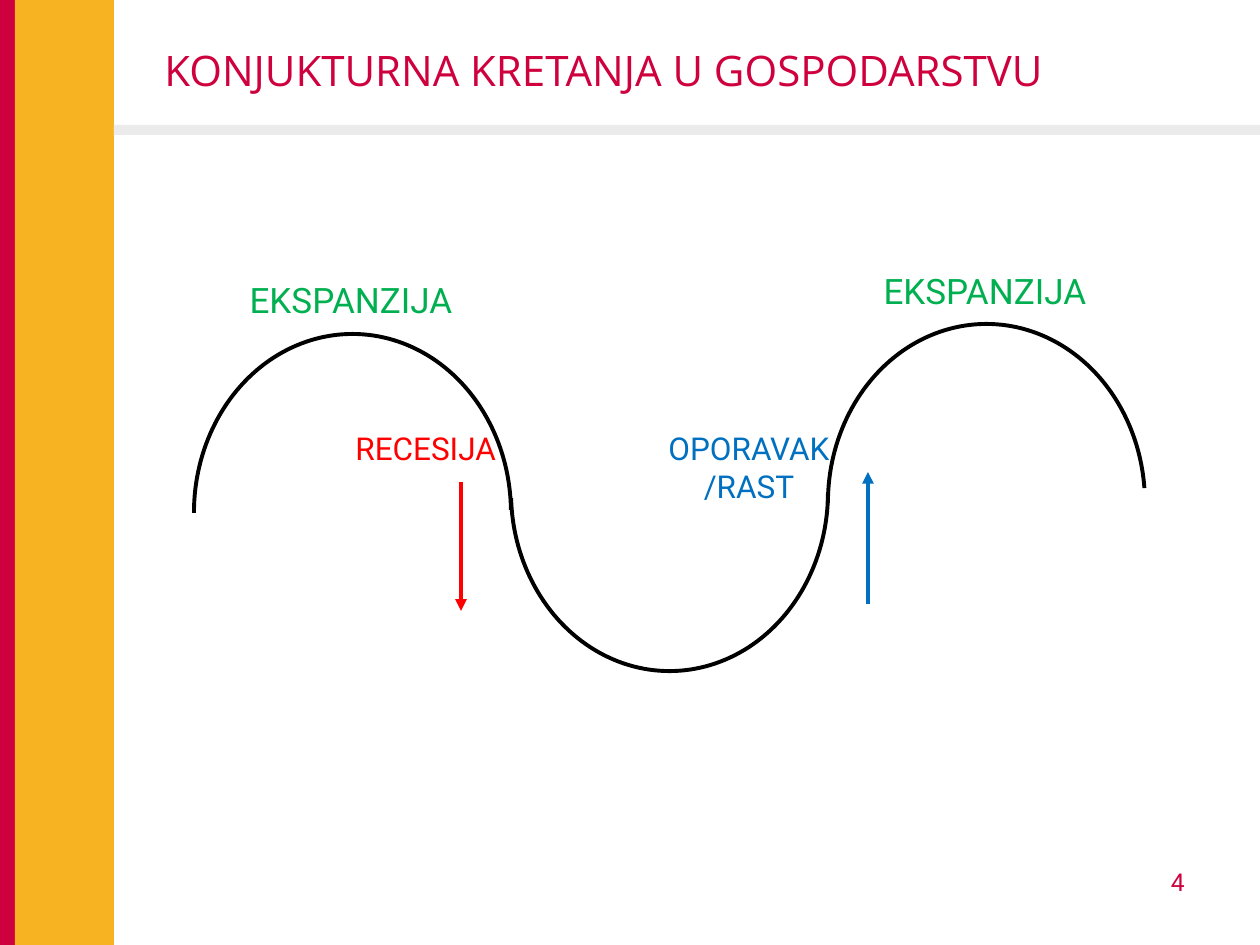
import pptx
import pptx.dml.color
import pptx.enum.shapes
import pptx.enum.text
import pptx.oxml
import pptx.oxml.ns
import pptx.util

EMU_PER_PX = 914400 / 126
SHAPE = pptx.enum.shapes.MSO_SHAPE
ALIGN = pptx.enum.text.PP_ALIGN
ANCHOR = pptx.enum.text.MSO_ANCHOR

CRIMSON, BLACK = "CE003D", "000000"
GREEN, BLUE, RED = "00B050", "0070C0", "FF0000"
LINE_WIDTH = 2.25

TITLE = "KONJUKTURNA KRETANJA U GOSPODARSTVU "
TITLE_BOX = (108, 26, 1002, 87)

BANDS = [
    ((0, 0, 15, 948), CRIMSON),
    ((15, 0, 99, 948), "F8B323"),
    ((114, 125, 1146, 10), "EBEBEC"),
]

ARC_LEFT, ARC_WIDTH, ARC_HEIGHT = 194, 317, 357
ARC_START = 107.89
ARCS = [
    (334, 0, 215.44),
    (314, 180, 214.78),
    (324, 0, 212.88),
]

LABELS = [
    ("EKSPANZIJA", (223, 272, 256, 55), 20, GREEN, ALIGN.CENTER),
    ("OPORAVAK/RAST", (650, 423, 198, 89), 18, BLUE, ALIGN.CENTER),
    ("RECESIJA", (343, 423, 169, 50), 18, RED, ALIGN.LEFT),
    ("EKSPANZIJA", (864, 263, 242, 55), 20, GREEN, ALIGN.CENTER),
    ("4", (1126, 861, 71, 39), 14, CRIMSON, ALIGN.RIGHT),
]

ARROWS = [
    (868, 604, 472, BLUE),
    (461, 482, 611, RED),
]


def px(*lengths):
    return [round(length * EMU_PER_PX) for length in lengths]


def color(value):
    return pptx.dml.color.RGBColor.from_string(value)


def style_line(line, value):
    line.color.rgb = color(value)
    line.width = pptx.util.Pt(LINE_WIDTH)


def write(frame, text, font_name, size, value, alignment):
    frame.word_wrap = True
    paragraph = frame.paragraphs[0]
    paragraph.alignment = alignment
    run = paragraph.add_run()
    run.text = text
    run.font.name = font_name
    run.font.size = pptx.util.Pt(size)
    run.font.color.rgb = color(value)


def add_band(slide, box, value):
    band = slide.shapes.add_shape(SHAPE.RECTANGLE, *px(*box))
    band.shadow.inherit = False
    band.fill.solid()
    band.fill.fore_color.rgb = color(value)
    band.line.fill.background()


def add_title(slide):
    title = slide.shapes.title
    title.left, title.top, title.width, title.height = px(*TITLE_BOX)
    title.text_frame.auto_size = pptx.enum.text.MSO_AUTO_SIZE.NONE
    title.text_frame.vertical_anchor = ANCHOR.MIDDLE
    write(title.text_frame, TITLE, "Open Sans", 24, CRIMSON, ALIGN.CENTER)


def add_arc(shapes, left, top, rotation, end):
    arc = shapes.add_shape(SHAPE.ARC, *px(left, top, ARC_WIDTH, ARC_HEIGHT))
    arc.shadow.inherit = False
    arc.fill.background()
    style_line(arc.line, BLACK)
    arc.adjustments[0] = ARC_START
    arc.adjustments[1] = end
    arc.rotation = rotation


def add_arrow(slide, x, start, end, value):
    arrow = slide.shapes.add_connector(
        pptx.enum.shapes.MSO_CONNECTOR.STRAIGHT, *px(x, start, x, end))
    style_line(arrow.line, value)
    tail = pptx.oxml.parse_xml(
        f'<a:tailEnd {pptx.oxml.ns.nsdecls("a")} type="triangle"/>')
    arrow.line._get_or_add_ln().append(tail)
    effects = pptx.oxml.parse_xml(f'<a:effectLst {pptx.oxml.ns.nsdecls("a")}/>')
    arrow._element.spPr.append(effects)


def main():
    presentation = pptx.Presentation()
    presentation.slide_width = pptx.util.Inches(10)
    presentation.slide_height = pptx.util.Inches(7.5)
    slide = presentation.slides.add_slide(presentation.slide_layouts[5])

    for box, value in BANDS:
        add_band(slide, box, value)
    add_title(slide)

    wave = slide.shapes.add_group_shape()
    for index, (top, rotation, end) in enumerate(ARCS):
        add_arc(wave.shapes, ARC_LEFT + index * ARC_WIDTH, top, rotation, end)

    for text, box, size, value, alignment in LABELS:
        label = slide.shapes.add_textbox(*px(*box))
        write(label.text_frame, text, "Roboto", size, value, alignment)

    for x, start, end, value in ARROWS:
        add_arrow(slide, x, start, end, value)

    presentation.save("out.pptx")


if __name__ == "__main__":
    main()
